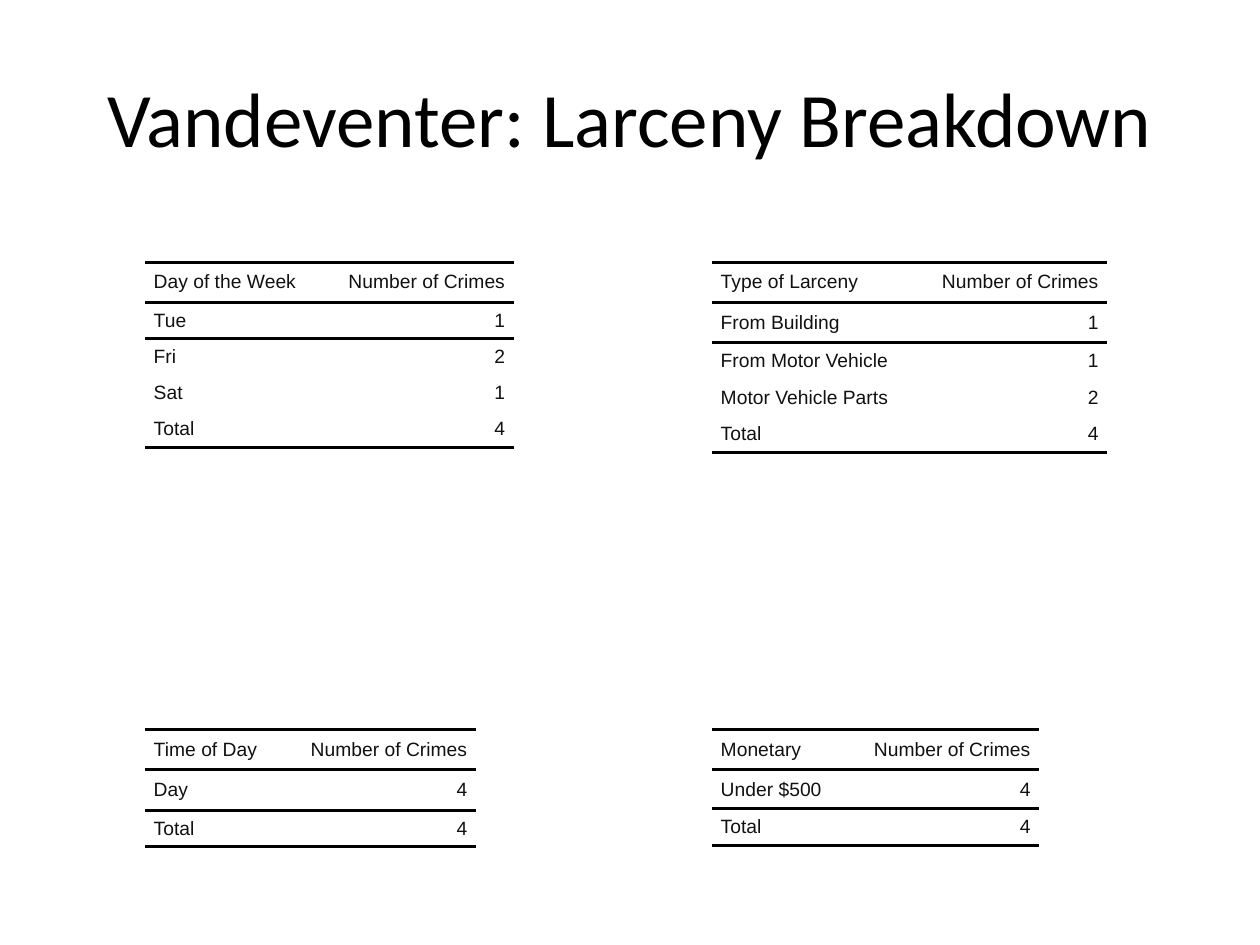
from pptx import Presentation
from pptx.dml.color import RGBColor
from pptx.enum.text import MSO_ANCHOR as Anchor, PP_ALIGN as Align
from pptx.oxml.ns import qn
from pptx.util import Inches, Pt
from lxml.etree import SubElement

NO_STYLE = "{2D5ABB26-0587-4C30-8999-92F81FD0307C}"
COUNT_WIDTH = 1.52
LEFT, RIGHT = 1.15, 5.65
UPPER, LOWER = 2.08, 5.79


def color(value):
    return RGBColor.from_string(value)


def add_border(cell, side):
    line = SubElement(cell._tc.get_or_add_tcPr(), qn(f"a:{side}"), w=str(Pt(2)))
    fill = SubElement(line, qn("a:solidFill"))
    SubElement(fill, qn("a:srgbClr"), val="000000")


breakdowns = [
    (LEFT, UPPER, 1.41, [0.32, 0.29, 0.28, 0.29, 0.29],
     [("Day of the Week", "Number of Crimes"), ("Tue", "1"), ("Fri", "2"),
      ("Sat", "1"), ("Total", "4")]),
    (LEFT, LOWER, 1.11, [0.32, 0.32, 0.29],
     [("Time of Day", "Number of Crimes"), ("Day", "4"), ("Total", "4")]),
    (RIGHT, UPPER, 1.62, [0.32, 0.32, 0.29, 0.29, 0.29],
     [("Type of Larceny", "Number of Crimes"), ("From Building", "1"),
      ("From Motor Vehicle", "1"), ("Motor Vehicle Parts", "2"), ("Total", "4")]),
    (RIGHT, LOWER, 1.08, [0.32, 0.31, 0.29],
     [("Monetary", "Number of Crimes"), ("Under $500", "4"), ("Total", "4")]),
]

deck = Presentation()
deck.slide_width, deck.slide_height = Inches(10), Inches(7.5)
page = deck.slides.add_slide(deck.slide_layouts[5])

title = page.shapes.title
title.left, title.top = Inches(0.5), Inches(0.3)
title.width, title.height = Inches(9), Inches(1.25)
title.text_frame.text = "Vandeventer: Larceny Breakdown"
title.text_frame.vertical_anchor = Anchor.MIDDLE
heading = title.text_frame.paragraphs[0]
heading.alignment = Align.CENTER
heading.font.name = "Calibri"
heading.font.size = Pt(44)
heading.font.color.rgb = color("000000")

for left, top, label_width, heights, rows in breakdowns:
    frame = page.shapes.add_table(
        len(rows), 2, Inches(left), Inches(top),
        Inches(label_width + COUNT_WIDTH), Inches(sum(heights)))
    table = frame.table
    table.first_row = table.horz_banding = False
    table._tbl.tblPr.find(qn("a:tableStyleId")).text = NO_STYLE
    table.columns[0].width = Inches(label_width)
    table.columns[1].width = Inches(COUNT_WIDTH)

    for row_index, (height, texts) in enumerate(zip(heights, rows)):
        table.rows[row_index].height = Inches(height)
        for column_index, text in enumerate(texts):
            cell = table.cell(row_index, column_index)
            cell.text = text
            cell.vertical_anchor = Anchor.MIDDLE
            cell.margin_left = cell.margin_right = 0
            cell.margin_top = cell.margin_bottom = 0
            if row_index == 0:
                add_border(cell, "lnT")
            if row_index == 1:
                add_border(cell, "lnT")
            if row_index in (0, len(rows) - 1):
                add_border(cell, "lnB")
            cell.fill.background()

            para = cell.text_frame.paragraphs[0]
            para.alignment = Align.RIGHT if column_index else Align.LEFT
            para.space_before = para.space_after = Pt(2)
            properties = para._p.get_or_add_pPr()
            for margin in ("marL", "marR"):
                properties.set(margin, str(Inches(0.07)))
            para.font.name = "Arial"
            para.font.size = Pt(11)
            para.font.color.rgb = color("111111")

deck.save("out.pptx")
